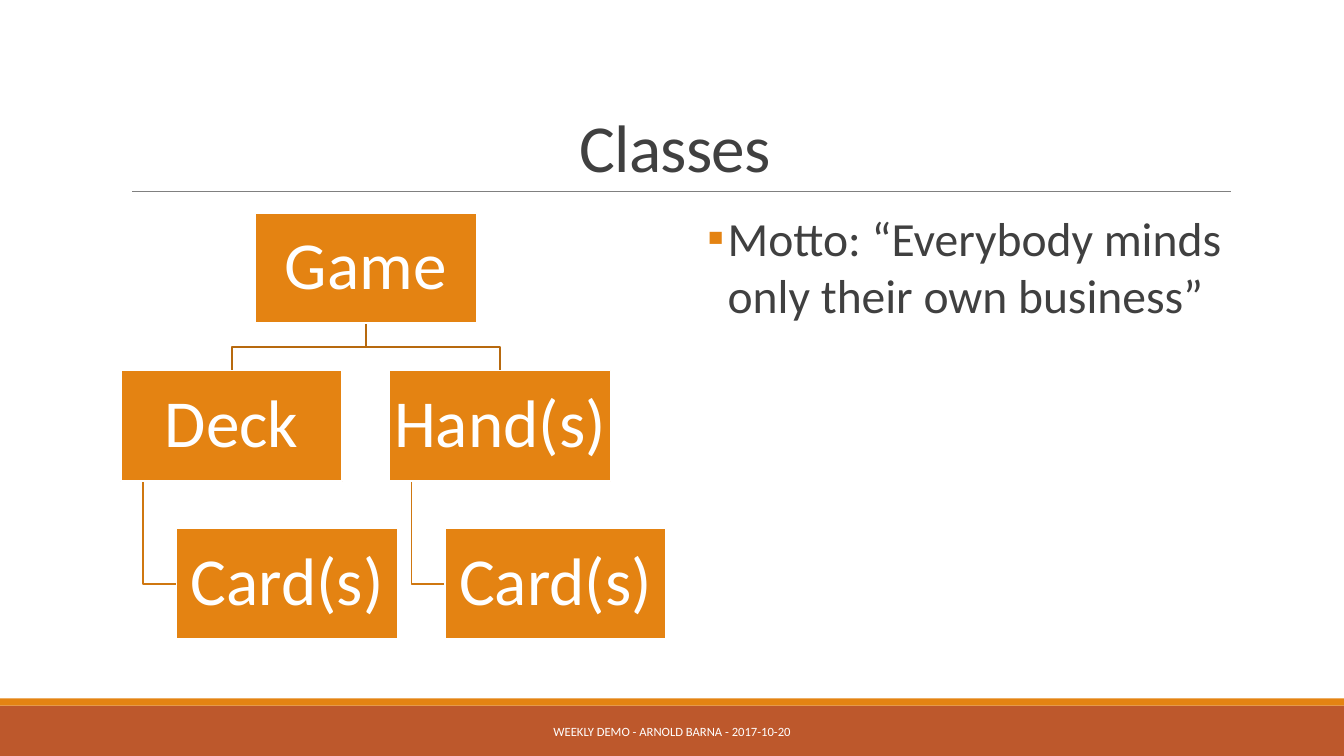
import pptx
import pptx.util
import pptx.dml.color
import pptx.enum.shapes
import pptx.enum.text
import pptx.oxml
import pptx.oxml.ns

Cm, Pt = pptx.util.Cm, pptx.util.Pt
RGBColor = pptx.dml.color.RGBColor
SHAPE = pptx.enum.shapes.MSO_SHAPE
ALIGN = pptx.enum.text.PP_ALIGN
ANCHOR = pptx.enum.text.MSO_ANCHOR

ORANGE = RGBColor(0xE4, 0x83, 0x12)
RUST = RGBColor(0xBD, 0x58, 0x2C)
BRANCH = RGBColor(0xB7, 0x69, 0x0E)
ELBOW = RGBColor(0xCF, 0x77, 0x10)
GREY = RGBColor(0x80, 0x80, 0x80)
DARK = RGBColor(0x40, 0x40, 0x40)
WHITE = RGBColor(0xFF, 0xFF, 0xFF)

prs = pptx.Presentation()
prs.slide_width, prs.slide_height = Cm(33.87), Cm(19.05)
s = prs.slides.add_slide(prs.slide_layouts[6])


def add_rect(x, y, w, h, fill):
    sp = s.shapes.add_shape(SHAPE.RECTANGLE, Cm(x), Cm(y), Cm(w), Cm(h))
    sp.shadow.inherit = False
    sp.fill.solid()
    sp.fill.fore_color.rgb = fill
    sp.line.fill.background()
    return sp


def write(sp, text, size, color, anchor, margins, para):
    tf = sp.text_frame
    tf.word_wrap = True
    tf.vertical_anchor = anchor
    for side, value in zip(("left", "top", "right", "bottom"), margins):
        setattr(tf, f"margin_{side}", Cm(value))
    p = tf.paragraphs[0]
    for name, value in para.items():
        setattr(p, name, value)
    r = p.add_run()
    r.text = text
    for name, value in {"name": "Calibri", "size": Pt(size)}.items():
        setattr(r.font, name, value)
    r.font.color.rgb = color
    return p


# Footer bands
add_rect(0, 17.78, 33.87, 1.27, RUST)
add_rect(0, 17.6, 33.87, 0.18, ORANGE)

# Rule under the title
rule = s.shapes.add_connector(pptx.enum.shapes.MSO_CONNECTOR.STRAIGHT,
                              Cm(3.33), Cm(4.83), Cm(31.01), Cm(4.83))
rule.line.color.rgb = GREY
rule.line.width = Pt(0.5)
rule._element.spPr.append(pptx.oxml.parse_xml(
    f"<a:effectLst {pptx.oxml.ns.nsdecls('a')}/>"))

# Title and footer text
title = s.shapes.add_textbox(Cm(3.05), Cm(0.79), Cm(27.94), Cm(4.04))
p = write(title, "Classes", 48, DARK, ANCHOR.BOTTOM, (0.25, 0.13, 0.25, 0.13),
          {"alignment": ALIGN.CENTER, "line_spacing": 0.85})
p.runs[0]._r.get_or_add_rPr().set("spc", "-50")

footer = s.shapes.add_textbox(Cm(10.24), Cm(17.93), Cm(13.39), Cm(1.02))
write(footer, "WEEKLY DEMO - ARNOLD BARNA - 2017-10-20", 9, WHITE,
      ANCHOR.MIDDLE, (0.25, 0.13, 0.25, 0.13), {"alignment": ALIGN.CENTER})

# Class tree: geometry
BOX_W, BOX_H = 5.58, 2.79
ROW_Y = [5.36 + 3.98 * row for row in range(3)]
DECK_X, HAND_X = 3.05, 9.81
GAME_X = (DECK_X + HAND_X) / 2
INDENT, DROP = 1.4, 0.56

# Class tree: lines from parent to child
game_mid, game_foot = GAME_X + BOX_W / 2, ROW_Y[0] + BOX_H
bar_y = (game_foot + ROW_Y[1]) / 2
class_lines = []
for x in (HAND_X, DECK_X):
    mid, stem = x + BOX_W / 2, x + DROP
    card_mid = ROW_Y[2] + BOX_H / 2
    class_lines += [
        (ELBOW, [(stem, ROW_Y[1] + BOX_H), (stem, card_mid),
                 (x + INDENT, card_mid)]),
        (BRANCH, [(game_mid, game_foot), (game_mid, bar_y), (mid, bar_y),
                  (mid, ROW_Y[1])]),
    ]
for color, points in class_lines:
    points = [(Cm(x), Cm(y)) for x, y in points]
    fb = s.shapes.build_freeform(*points[0])
    fb.add_line_segments(points[1:], close=False)
    sp = fb.convert_to_shape()
    sp.shadow.inherit = False
    sp.fill.background()
    sp.line.color.rgb = color
    sp.line.width = Pt(1.25)

# Class tree: boxes
for name, x, row in [("Game", GAME_X, 0), ("Deck", DECK_X, 1),
                     ("Card(s)", DECK_X + INDENT, 2), ("Hand(s)", HAND_X, 1),
                     ("Card(s)", HAND_X + INDENT, 2)]:
    sp = add_rect(x, ROW_Y[row], BOX_W, BOX_H, ORANGE)
    sp.line.color.rgb = WHITE
    sp.line.width = Pt(1.25)
    write(sp, name, 48, WHITE, ANCHOR.MIDDLE, (0.08,) * 4,
          {"alignment": ALIGN.CENTER, "line_spacing": 0.9})

# Motto with a square bullet
motto = s.shapes.add_textbox(Cm(17.27), Cm(5.13), Cm(13.72), Cm(11.18))
p = write(motto, "Motto: “Everybody minds only their own business”", 34, DARK,
          ANCHOR.TOP, (0, 0.13, 0, 0.13),
          {"space_before": Pt(2), "space_after": Pt(4)})
pPr = p._p.get_or_add_pPr()
pPr.set("marL", str(Cm(1.07)))
pPr.set("indent", str(-Cm(0.51)))
for bullet in (f'<a:buClr {{}}><a:srgbClr val="{ORANGE}"/></a:buClr>',
               '<a:buFont {} typeface="Calibri"/>', '<a:buChar {} char="▪"/>'):
    pPr.append(pptx.oxml.parse_xml(
        bullet.format(pptx.oxml.ns.nsdecls("a"))))

prs.save("out.pptx")
